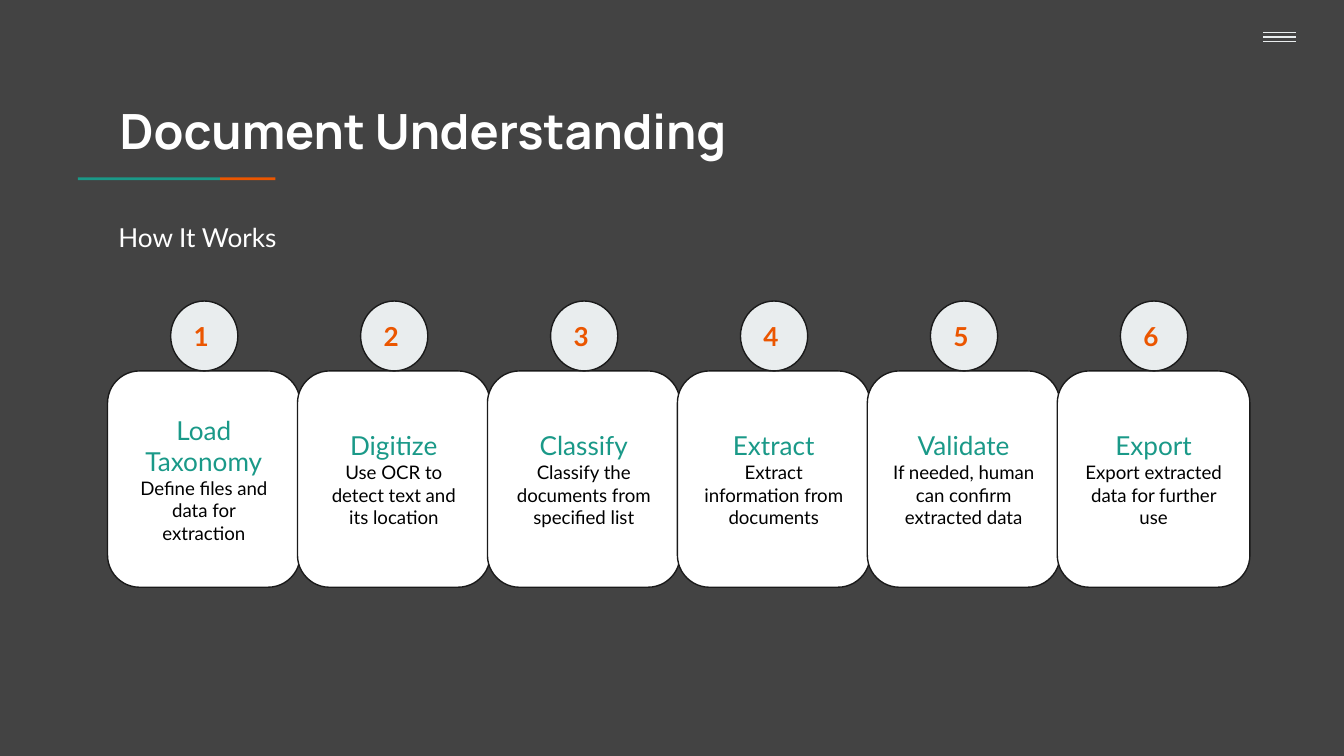
import pptx
import pptx.util
import pptx.dml.color
import pptx.enum.shapes
import pptx.enum.text
import pptx.oxml.ns
import lxml.etree

Inches = pptx.util.Inches
Pt = pptx.util.Pt
Shape = pptx.enum.shapes.MSO_SHAPE
Align = pptx.enum.text.PP_ALIGN
Anchor = pptx.enum.text.MSO_ANCHOR

WIDTH = 10
HEIGHT = WIDTH * 9 / 16
COLOURS = {
    "background": "434343",
    "teal": "1A9988",
    "orange": "EB5600",
    "mist": "E9EDEE",
    "outline": "1A1A1A",
    "white": "FFFFFF",
    "black": "000000",
}
STEPS = [
    ("Load Taxonomy", "Define files and data for extraction"),
    ("Digitize", "Use OCR to detect text and its location"),
    ("Classify", "Classify the documents from specified list"),
    ("Extract", "Extract information from documents"),
    ("Validate", "If needed, human can confirm extracted data"),
    ("Export", "Export extracted data for further use"),
]


def colour(name):
    return pptx.dml.color.RGBColor.from_string(COLOURS[name])


def add_span(para, text, size, tint, font="Lato", bold=False):
    span = para.add_run()
    span.text = text
    span.font.name = font
    span.font.size = Pt(size)
    span.font.bold = bold
    span.font.color.rgb = colour(tint)


def set_frame(frame, anchor):
    frame.word_wrap = True
    frame.auto_size = pptx.enum.text.MSO_AUTO_SIZE.NONE
    frame.vertical_anchor = anchor
    frame.margin_left = frame.margin_right = Inches(0.1)
    frame.margin_top = frame.margin_bottom = Inches(0.1)


def add_filled(page, kind, box, fill, line=None):
    shape = page.shapes.add_shape(kind, *map(Inches, box))
    shape.shadow.inherit = False
    shape.fill.solid()
    shape.fill.fore_color.rgb = colour(fill)
    if line:
        shape.line.color.rgb = colour(line)
        shape.line.width = Pt(0.75)
    else:
        shape.line.fill.background()
    set_frame(shape.text_frame, Anchor.MIDDLE)
    return shape


def add_accent(page, box):
    """Draw the rule under the title, its last part in orange."""
    left, top, width, height = box
    teal_width = width * 0.72
    add_filled(page, Shape.RECTANGLE, (left, top, teal_width, height), "teal")
    add_filled(page, Shape.RECTANGLE,
               (left + teal_width, top, width - teal_width, height), "orange")


def add_menu_icon(page, box):
    left, top, width, height = box
    for row in range(3):
        y = top + row * height / 2
        bar = page.shapes.add_connector(
            pptx.enum.shapes.MSO_CONNECTOR.STRAIGHT,
            Inches(left), Inches(y), Inches(left + width), Inches(y))
        bar.line.color.rgb = colour("mist")
        bar.line.width = Pt(0.75)
        lxml.etree.SubElement(bar._element.spPr, pptx.oxml.ns.qn("a:effectLst"))


def fill_placeholder(holder, box, text, size, font, bold=False):
    holder.left, holder.top, holder.width, holder.height = map(Inches, box)
    set_frame(holder.text_frame, Anchor.TOP)
    para = holder.text_frame.paragraphs[0]
    properties = para._p.get_or_add_pPr()
    properties.set("marL", "0")
    properties.set("indent", "0")
    lxml.etree.SubElement(properties, pptx.oxml.ns.qn("a:buNone"))
    para.alignment = Align.LEFT
    para.space_before = Pt(0)
    add_span(para, text, size, "white", font, bold)
    return para


def add_card(page, box, heading, detail):
    card = add_filled(page, Shape.ROUNDED_RECTANGLE, box, "white", "outline")
    card.adjustments[0] = 0.167
    frame = card.text_frame
    first, second = frame.paragraphs[0], frame.add_paragraph()
    first.alignment = second.alignment = Align.CENTER
    add_span(first, heading, 14, "teal")
    add_span(second, detail, 10, "black")


def add_badge(page, box, number):
    badge = add_filled(page, Shape.OVAL, box, "mist", "outline")
    para = badge.text_frame.paragraphs[0]
    para.alignment = Align.LEFT
    add_span(para, str(number), 14, "orange", bold=True)


def add_steps(page, box):
    """Set numbered cards side by side, each badge resting on its card."""
    left, top, width, height = box
    pitch = width / len(STEPS)
    badge_height = 0.52
    card_box_top = top + badge_height
    lefts = [left + column * pitch for column in range(len(STEPS))]
    for x, (heading, detail) in zip(lefts, STEPS):
        add_card(page, (x, card_box_top, pitch + 0.02, height - badge_height),
                 heading, detail)
    for number, x in enumerate(lefts, start=1):
        add_badge(page, (x + 0.47, top, 0.5, badge_height), number)


def build_process_page(deck):
    page = deck.slides.add_slide(deck.slide_layouts[1])
    page.background.fill.solid()
    page.background.fill.fore_color.rgb = colour("background")
    title, body = page.placeholders
    fill_placeholder(title, (0.79, 0.65, 4.76, 1.01),
                     "Document Understanding", 26, "Manrope", bold=True)
    subtitle = fill_placeholder(body, (0.78, 1.51, 3.35, 0.47),
                                "How It Works", 14, "Lato")
    subtitle.line_spacing = 1.15
    subtitle.space_after = Pt(12)
    add_accent(page, (0.58, 1.32, 1.47, 0.02))
    add_menu_icon(page, (0.94 * WIDTH, 0.24, 0.24, 0.07))
    add_steps(page, (0.8, 2.24, 8.48, 2.13))


def main():
    deck = pptx.Presentation()
    deck.slide_width, deck.slide_height = Inches(WIDTH), Inches(HEIGHT)
    build_process_page(deck)
    deck.save("out.pptx")


if __name__ == "__main__":
    main()
